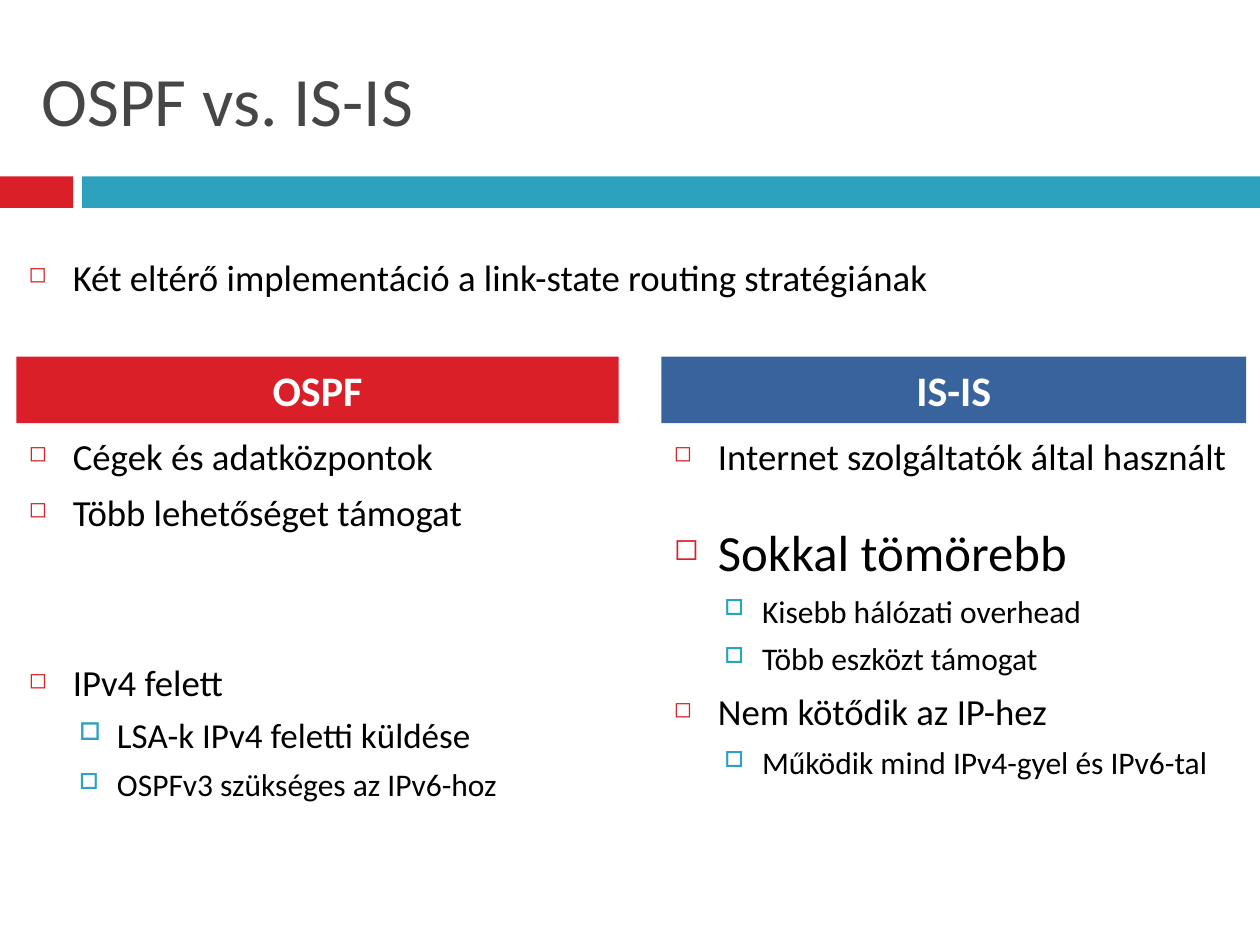
import pptx
import pptx.util
import pptx.dml.color
import pptx.enum.shapes
import pptx.enum.text
import pptx.oxml.ns
from lxml import etree

Inches = pptx.util.Inches
Pt = pptx.util.Pt
RGBColor = pptx.dml.color.RGBColor

COLORS = {
    "red": "DA1F28",
    "teal": "2DA2BF",
    "blue": "39639D",
    "title": "464646",
    "text": "000000",
    "white": "FFFFFF",
}
# Per level: hanging margin, indent, space before, bullet, colour, bullet size
LEVELS = [
    (0.35, -0.35, 7, "◻", "red", 60),
    (0.7, -0.3, 5.5, "□", "teal", 70),
]


def add_bar(left, top, width, height, color):
    bar = slide.shapes.add_shape(
        pptx.enum.shapes.MSO_SHAPE.RECTANGLE,
        Inches(left), Inches(top), Inches(width), Inches(height))
    bar.shadow.inherit = False
    bar.fill.solid()
    bar.fill.fore_color.rgb = RGBColor.from_string(COLORS[color])
    bar.line.fill.background()
    return bar


def add_bullets(left, top, width, height, items):
    """Add a bulleted text box; items are (level, size, extra space before, text)."""
    box = slide.shapes.add_textbox(
        Inches(left), Inches(top), Inches(width), Inches(height))
    frame = box.text_frame
    frame.word_wrap = True
    for index, (level, size, extra_space, text) in enumerate(items):
        paragraph = frame.add_paragraph() if index else frame.paragraphs[0]
        margin, indent, space, symbol, color, percent = LEVELS[level]
        paragraph.text = text
        paragraph.level = level
        paragraph.space_before = Pt(space + extra_space)
        properties = paragraph._p.get_or_add_pPr()
        properties.set("marL", str(Inches(margin)))
        properties.set("indent", str(Inches(indent)))
        qn = pptx.oxml.ns.qn
        bullet_color = etree.SubElement(properties, qn("a:buClr"))
        etree.SubElement(bullet_color, qn("a:srgbClr"), val=COLORS[color])
        etree.SubElement(properties, qn("a:buSzPct"), val=str(percent * 1000))
        etree.SubElement(properties, qn("a:buChar"), char=symbol)
        paragraph.font.size = Pt(size)
        paragraph.font.name = "Calibri"
        paragraph.font.color.rgb = RGBColor.from_string(COLORS["text"])


presentation = pptx.Presentation()
presentation.slide_width = Inches(10)
presentation.slide_height = Inches(7.5)
slide = presentation.slides.add_slide(presentation.slide_layouts[5])

# Title and the band below it
title = slide.shapes.title
title.left, title.top = Inches(0.23), Inches(0.43)
title.width, title.height = Inches(9.37), Inches(0.71)
title.text_frame.text = "OSPF vs. IS-IS"
title.text_frame.auto_size = pptx.enum.text.MSO_AUTO_SIZE.NONE
title.text_frame.vertical_anchor = pptx.enum.text.MSO_ANCHOR.MIDDLE
paragraph = title.text_frame.paragraphs[0]
paragraph.alignment = pptx.enum.text.PP_ALIGN.LEFT
paragraph.font.size = Pt(39.6)
paragraph.font.name = "Calibri"
paragraph.font.color.rgb = RGBColor.from_string(COLORS["title"])

add_bar(0, 1.4, 0.58, 0.25, "red")
add_bar(0.65, 1.4, 9.35, 0.25, "teal")

add_bullets(0.13, 1.97, 9.73, 0.6, [
    (0, 21, 0, "Két eltérő implementáció a link-state routing stratégiának"),
])

# Comparison columns
columns = [
    ("OSPF", "red", 0.13, 4.78, [
        (0, 21, 0, "Cégek és adatközpontok"),
        (0, 21, 0, "Több lehetőséget támogat"),
        (0, 21, 65, "IPv4 felett"),
        (1, 20, 0, "LSA-k IPv4 feletti küldése"),
        (1, 18, 0, "OSPFv3 szükséges az IPv6-hoz"),
    ]),
    ("IS-IS", "blue", 5.25, 4.64, [
        (0, 21, 0, "Internet szolgáltatók által használt"),
        (0, 29, 18, "Sokkal tömörebb"),
        (1, 18, 0, "Kisebb hálózati overhead"),
        (1, 18, 0, "Több eszközt támogat"),
        (0, 21, 0, "Nem kötődik az IP-hez"),
        (1, 18, 0, "Működik mind IPv4-gyel és IPv6-tal"),
    ]),
]
for heading, color, left, width, items in columns:
    header = add_bar(left, 2.83, width, 0.53, color)
    header.text_frame.text = heading
    header.text_frame.vertical_anchor = pptx.enum.text.MSO_ANCHOR.MIDDLE
    paragraph = header.text_frame.paragraphs[0]
    paragraph.alignment = pptx.enum.text.PP_ALIGN.CENTER
    paragraph.space_before = Pt(7)
    paragraph.font.size = Pt(24)
    paragraph.font.name = "Calibri"
    paragraph.font.bold = True
    paragraph.font.color.rgb = RGBColor.from_string(COLORS["white"])
    add_bullets(left, 3.39, width, 3.1, items)

presentation.save("out.pptx")
